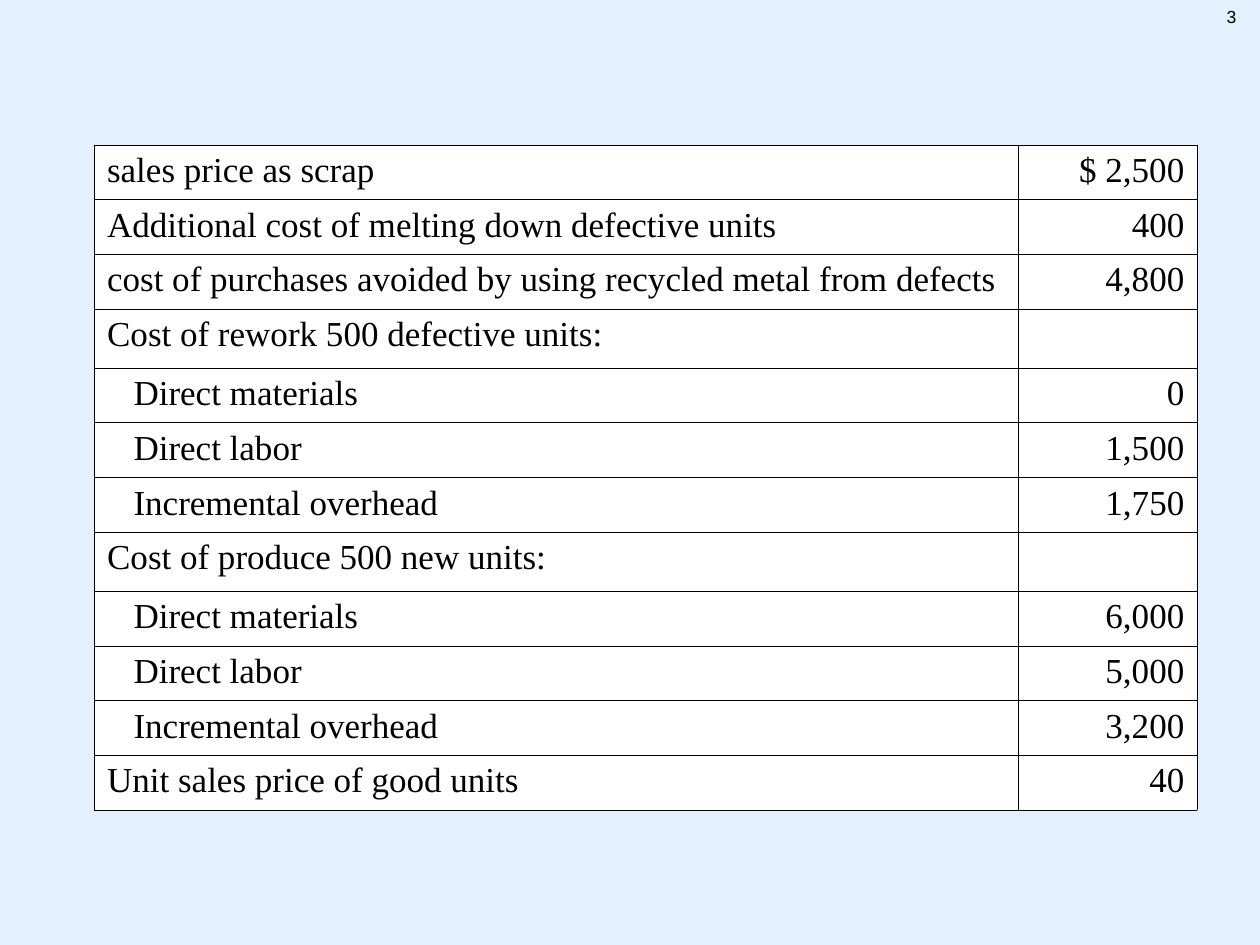
from lxml import etree
from pptx import Presentation
from pptx.dml.color import RGBColor
from pptx.enum.text import PP_ALIGN
from pptx.oxml.ns import qn
from pptx.util import Inches, Pt

LEFT, RIGHT = PP_ALIGN.LEFT, PP_ALIGN.RIGHT

SKY = RGBColor(0xE3, 0xF1, 0xFF)
WHITE = RGBColor(0xFF, 0xFF, 0xFF)
BLACK = RGBColor(0, 0, 0)

SLIDE_WIDTH, SLIDE_HEIGHT = Inches(10), Inches(7.5)
TABLE_LEFT, TABLE_TOP = Inches(0.75), Inches(1.15)
COLUMN_WIDTHS = [Inches(7.33), Inches(1.42)]
TABLE_HEIGHT = Inches(5.28)
HEADING_HEIGHT = Inches(0.47)
CELL_MARGIN, ITEM_MARGIN = Inches(0.1), Inches(0.31)
BORDER_WIDTH = Pt(0.45)

# Label, amount, whether the row is an item below a heading
COSTS = [
    ("sales price as scrap", "$ 2,500", False),
    ("Additional cost of melting down defective units", "400", False),
    ("cost of purchases avoided by using recycled metal from defects", "4,800", False),
    ("Cost of rework 500 defective units:", "", False),
    ("Direct materials", "0", True),
    ("Direct labor", "1,500", True),
    ("Incremental overhead", "1,750", True),
    ("Cost of produce 500 new units:", "", False),
    ("Direct materials", "6,000", True),
    ("Direct labor", "5,000", True),
    ("Incremental overhead", "3,200", True),
    ("Unit sales price of good units", "40", False),
]


def write_text(text_frame, text, font_name, size, alignment):
    text_frame.text = text
    paragraph = text_frame.paragraphs[0]
    paragraph.alignment = alignment
    for run in paragraph.runs:
        run.font.name = font_name
        run.font.size = Pt(size)
        run.font.color.rgb = BLACK


def add_borders(cell):
    """Draw a thin black line on all four sides; call before filling the cell."""
    properties = cell._tc.get_or_add_tcPr()
    for side in ("lnL", "lnR", "lnT", "lnB"):
        line = etree.SubElement(properties, qn(f"a:{side}"), w=str(BORDER_WIDTH))
        fill = etree.SubElement(line, qn("a:solidFill"))
        etree.SubElement(fill, qn("a:srgbClr"), val=str(BLACK))


def format_cell(cell, text, alignment, left_margin=CELL_MARGIN):
    add_borders(cell)
    cell.fill.solid()
    cell.fill.fore_color.rgb = WHITE
    cell.margin_left = left_margin
    write_text(cell.text_frame, text, "Times New Roman", 20, alignment)


def add_cost_table(slide):
    table = slide.shapes.add_table(
        len(COSTS), len(COLUMN_WIDTHS), TABLE_LEFT, TABLE_TOP,
        sum(COLUMN_WIDTHS), TABLE_HEIGHT).table
    for column, width in zip(table.columns, COLUMN_WIDTHS):
        column.width = width

    headings = sum(not amount for _, amount, _ in COSTS)
    row_height = (TABLE_HEIGHT - headings * HEADING_HEIGHT) // (len(COSTS) - headings)
    for row, (label, amount, is_item) in zip(table.rows, COSTS):
        row.height = row_height if amount else HEADING_HEIGHT
        label_cell, amount_cell = row.cells
        format_cell(label_cell, label, LEFT, ITEM_MARGIN if is_item else CELL_MARGIN)
        format_cell(amount_cell, amount, RIGHT)


def add_page_number(slide, number):
    box = slide.shapes.add_textbox(Inches(9.08), 0, Inches(0.83), Inches(0.33))
    box.text_frame.word_wrap = True
    write_text(box.text_frame, number, "Arial", 10, RIGHT)


def main():
    presentation = Presentation()
    presentation.slide_width, presentation.slide_height = SLIDE_WIDTH, SLIDE_HEIGHT
    slide = presentation.slides.add_slide(presentation.slide_layouts[6])
    slide.background.fill.solid()
    slide.background.fill.fore_color.rgb = SKY
    add_page_number(slide, "3")
    add_cost_table(slide)
    presentation.save("out.pptx")


if __name__ == "__main__":
    main()
